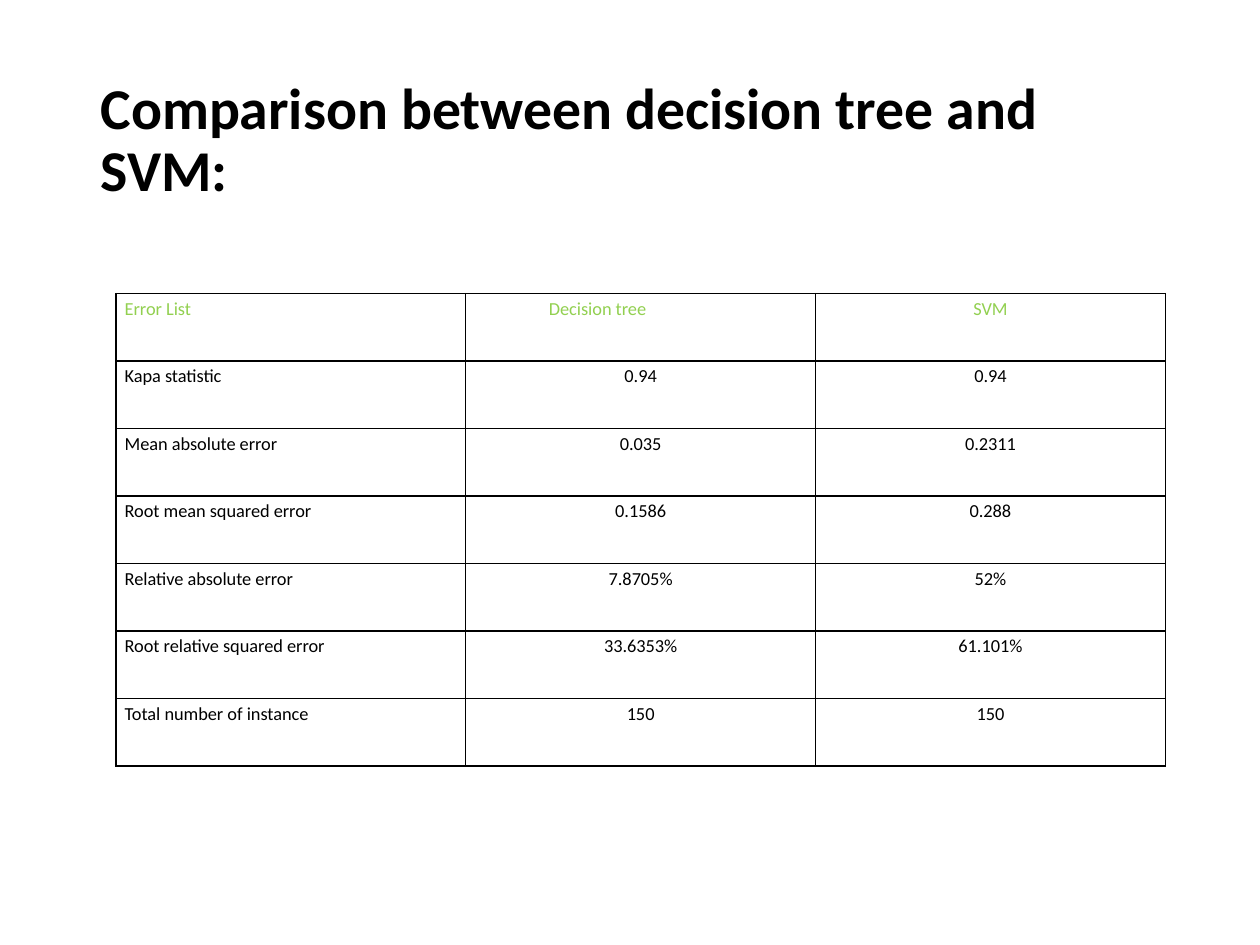
from dataclasses import dataclass

from lxml.etree import SubElement
from pptx import Presentation
from pptx.dml.color import RGBColor
from pptx.enum.text import MSO_ANCHOR, PP_ALIGN
from pptx.oxml.ns import qn
from pptx.util import Inches, Pt


@dataclass(frozen=True)
class Theme:
    font: str = "Calibri"
    ink: str = "000000"
    accent: str = "92D050"
    paper: str = "FFFFFF"
    title_size: float = 33
    table_size: float = 10.5
    border_width: float = 1


ROWS = [
    ("Error List", "Decision tree", "SVM"),
    ("Kapa statistic", "0.94", "0.94"),
    ("Mean absolute error", "0.035", "0.2311"),
    ("Root mean squared error", "0.1586", "0.288"),
    ("Relative absolute error", "7.8705%", "52%"),
    ("Root relative squared error", "33.6353%", "61.101%"),
    ("Total number of instance", "150", "150"),
]
HEADER_INDENT = 0.59


def apply(target, values):
    for name, value in values.items():
        setattr(target, name, value)


class SlideBuilder:
    """Draws styled elements on one slide, placed by shares of its size."""

    def __init__(self, presentation, theme):
        self.theme = theme
        self.width = presentation.slide_width
        self.height = presentation.slide_height
        self.slide = presentation.slides.add_slide(presentation.slide_layouts[6])

    def place(self, left, top, width, height):
        return (round(left * self.width), round(top * self.height),
                round(width * self.width), round(height * self.height))

    def add_text(self, frame, text, size, color, spacing, bold=False, align=PP_ALIGN.LEFT):
        paragraph = frame.paragraphs[0]
        apply(paragraph, {"alignment": align, "line_spacing": spacing})
        run = paragraph.add_run()
        run.text = text
        apply(run.font, {"name": self.theme.font, "size": Pt(size), "bold": bold})
        run.font.color.rgb = RGBColor.from_string(color)
        return paragraph

    def title(self, text, *share):
        frame = self.slide.shapes.add_textbox(*self.place(*share)).text_frame
        apply(frame, {"word_wrap": True, "vertical_anchor": MSO_ANCHOR.MIDDLE})
        self.add_text(frame, text, self.theme.title_size, self.theme.ink, 0.9, bold=True)

    def border(self, cell):
        properties = cell._tc.get_or_add_tcPr()
        for side in ("lnL", "lnR", "lnT", "lnB"):
            line = SubElement(properties, qn(f"a:{side}"), w=str(Pt(self.theme.border_width)))
            fill = SubElement(line, qn("a:solidFill"))
            SubElement(fill, qn("a:srgbClr"), val=self.theme.ink)

    def cell(self, cell, text, color, align):
        margins = {"margin_left": Inches(0.07), "margin_right": Inches(0.07),
                   "margin_top": 0, "margin_bottom": 0}
        apply(cell, {**margins, "vertical_anchor": MSO_ANCHOR.TOP})
        self.border(cell)
        cell.fill.solid()
        cell.fill.fore_color.rgb = RGBColor.from_string(self.theme.paper)
        return self.add_text(cell.text_frame, text, self.theme.table_size, color, 1.2, align=align)

    def table(self, rows, *share):
        shape = self.slide.shapes.add_table(len(rows), len(rows[0]), *self.place(*share))
        table = shape.table
        apply(table, {"first_row": False, "horz_banding": False})
        for row, texts in enumerate(rows):
            color = self.theme.ink if row else self.theme.accent
            for column, text in enumerate(texts):
                indented = (row, column) == (0, 1)
                left = column == 0 or indented
                align = PP_ALIGN.LEFT if left else PP_ALIGN.CENTER
                paragraph = self.cell(table.cell(row, column), text, color, align)
                if indented:
                    paragraph._p.get_or_add_pPr().set("marL", str(Inches(HEADER_INDENT)))


def main():
    presentation = Presentation()
    apply(presentation, {"slide_width": Inches(10), "slide_height": Inches(7.5)})
    builder = SlideBuilder(presentation, Theme())
    builder.title("Comparison between decision tree and SVM:", 0.07, 0.4 / 7.5, 0.86, 1.45 / 7.5)
    builder.table(ROWS, 0.92 / 10, 2.33 / 7.5, 8.33 / 10, 0.5)
    presentation.save("out.pptx")


if __name__ == "__main__":
    main()
